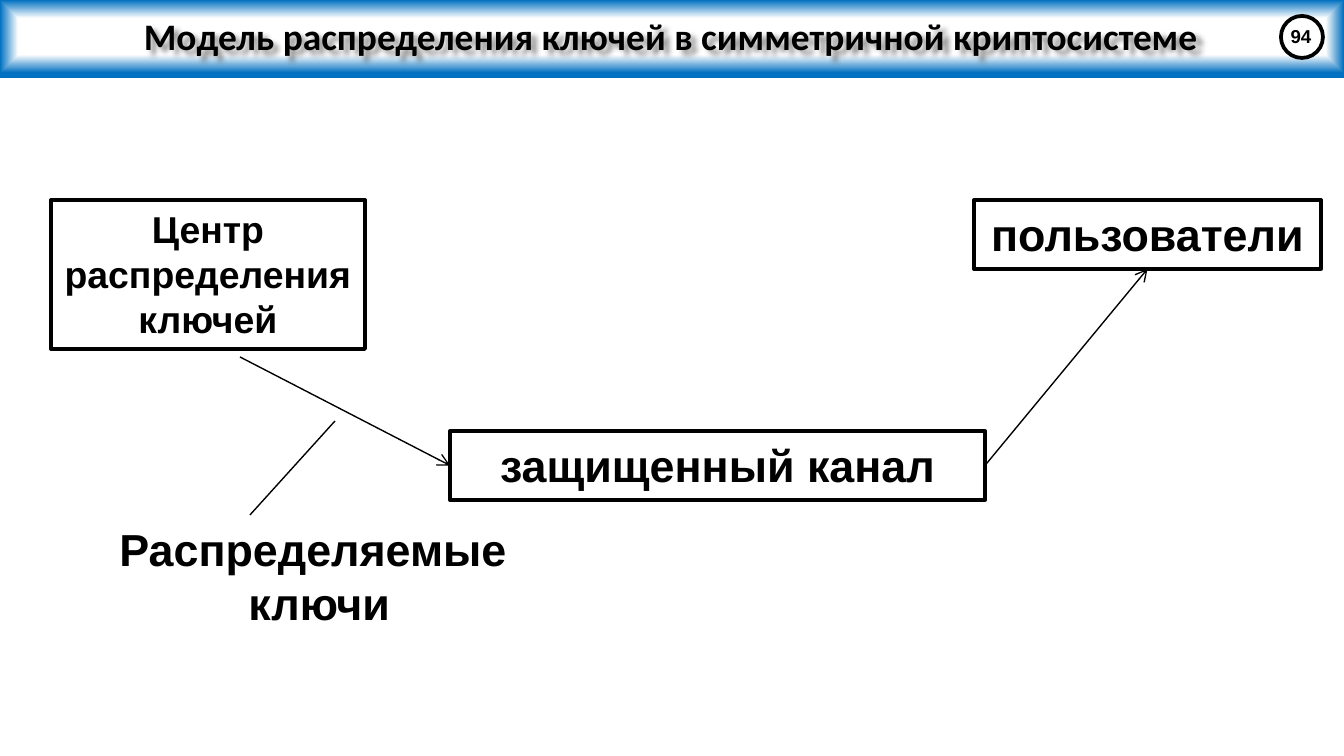
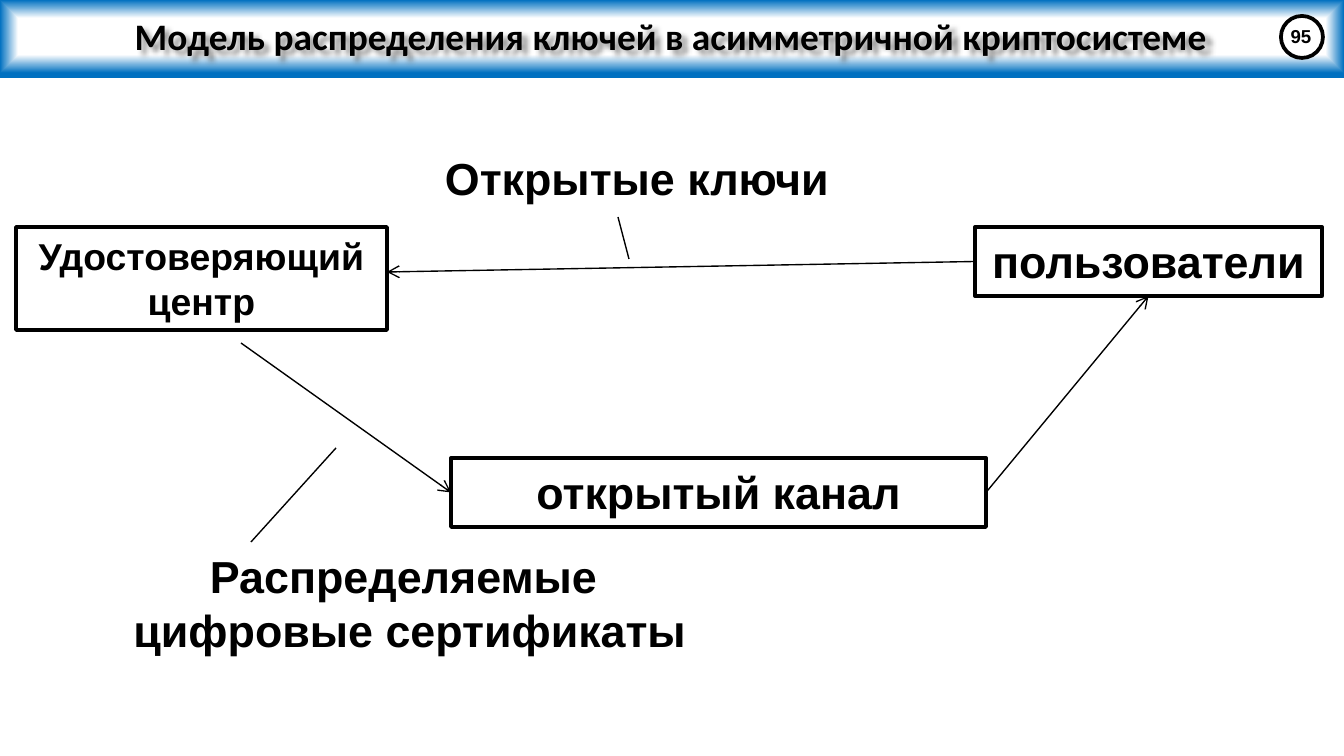
import lxml.etree
import pptx
import pptx.dml.color
import pptx.enum.shapes
import pptx.enum.text
import pptx.oxml
import pptx.oxml.ns
import pptx.util

BLACK = pptx.dml.color.RGBColor(0x00, 0x00, 0x00)
WHITE = pptx.dml.color.RGBColor(0xFF, 0xFF, 0xFF)
BLUE = pptx.dml.color.RGBColor(0x00, 0x70, 0xC0)

SHAPE = pptx.enum.shapes.MSO_SHAPE
ANCHOR = pptx.enum.text.MSO_ANCHOR
FIT = pptx.enum.text.MSO_AUTO_SIZE
TOP, LEFT, BOTTOM, RIGHT = range(4)  # connection sites of a rectangle

EMU_PER_PX = 914400 / 134.4
SLIDE_WIDTH, SLIDE_HEIGHT = 1344, 756
TITLE_ONLY = 5


def px(*lengths):
    return [round(length * EMU_PER_PX) for length in lengths]


def a_element(markup):
    return pptx.oxml.parse_xml(
        markup.replace("/>", f" {pptx.oxml.ns.nsdecls('a')}/>", 1)
        if markup.endswith("/>") and markup.count("<") == 1
        else markup.replace(">", f" {pptx.oxml.ns.nsdecls('a')}>", 1))


def write(frame, text, size=24, font="Arial", anchor=ANCHOR.TOP, wrap=True, fit=FIT.NONE):
    """Fill a text frame with bold, centred black lines."""
    frame.text = text
    frame.word_wrap = wrap
    frame.auto_size = fit
    frame.vertical_anchor = anchor
    frame.margin_left = frame.margin_right = pptx.util.Inches(0.1)
    frame.margin_top = frame.margin_bottom = pptx.util.Inches(0.05)
    for paragraph in frame.paragraphs:
        paragraph.alignment = pptx.enum.text.PP_ALIGN.CENTER
        for run in paragraph.runs:
            run.font.size = pptx.util.Pt(size)
            run.font.name = font
            run.font.bold = True
            run.font.color.rgb = BLACK


def outlined(slide, kind, box):
    shape = slide.shapes.add_shape(kind, *px(*box))
    shape.shadow.inherit = False
    shape.fill.solid()
    shape.fill.fore_color.rgb = WHITE
    shape.line.color.rgb = BLACK
    shape.line.width = pptx.util.Pt(2)
    return shape


def node(slide, box, text, size=24):
    rectangle = outlined(slide, SHAPE.RECTANGLE, box)
    write(rectangle.text_frame, text, size=size, fit=FIT.SHAPE_TO_FIT_TEXT)
    return rectangle


def label(slide, box, text):
    caption = slide.shapes.add_textbox(*px(*box))
    write(caption.text_frame, text, wrap=False, fit=FIT.SHAPE_TO_FIT_TEXT)


def link(slide, start, end, color=BLACK, width=0.75, arrow=False):
    """Draw a line; each end is a point or a (shape, site) pair."""
    line = slide.shapes.add_connector(pptx.enum.shapes.MSO_CONNECTOR.STRAIGHT, 0, 0, 0, 0)
    if isinstance(start[0], int):
        line.begin_x, line.begin_y = px(*start)
    else:
        line.begin_connect(*start)
    if isinstance(end[0], int):
        line.end_x, line.end_y = px(*end)
    else:
        line.end_connect(*end)
    line.line.color.rgb = color
    line.line.width = pptx.util.Pt(width)
    properties = line.element.spPr
    if arrow:
        outline = properties.find(pptx.oxml.ns.qn("a:ln"))
        outline.append(a_element('<a:tailEnd type="arrow"/>'))
    properties.append(a_element("<a:effectLst/>"))
    return line


def build_header(layout, slide):
    """Draw the title band and number ring, then move them to the layout."""
    for placeholder in list(layout.placeholders):
        if placeholder.placeholder_format.idx != 0:
            layout.shapes.element.remove(placeholder.element)

    rule = link(slide, (0, 74), (SLIDE_WIDTH, 74), color=BLUE, width=4.5)

    band = slide.shapes.add_shape(SHAPE.RECTANGLE, *px(0, 0, SLIDE_WIDTH, 73))
    band.shadow.inherit = False
    band.line.fill.background()
    band.fill.gradient()
    for stop, position, color in zip(band.fill.gradient_stops, (0.5, 1), (WHITE, BLUE)):
        stop.position = position
        stop.color.rgb = color
    linear = band.element.spPr.find(".//" + pptx.oxml.ns.qn("a:lin"))
    linear.getparent().replace(linear, a_element(
        '<a:path path="shape"><a:fillToRect l="50000" t="50000" r="50000" b="50000"/></a:path>'))

    ring = outlined(slide, SHAPE.OVAL, (1281, 16, 42, 42))
    for part in (rule, band, ring):
        layout.shapes.element.append(part.element)


def fill_header(slide, title, number):
    heading = slide.shapes.title
    heading.left, heading.top, heading.width, heading.height = px(0, -16, 1342, 103)
    write(heading.text_frame, title, size=20, font="Calibri", anchor=ANCHOR.MIDDLE)
    heading.element.spPr.append(a_element(
        '<a:effectLst><a:outerShdw blurRad="38100" dist="38100" dir="2700000" algn="tl">'
        '<a:srgbClr val="000000"><a:alpha val="43000"/></a:srgbClr>'
        '</a:outerShdw></a:effectLst>'))
    page = slide.shapes.add_textbox(*px(1275, 12, 52, 48))
    write(page.text_frame, number, size=10, anchor=ANCHOR.MIDDLE)


def key_flow(slide, left, top, source, source_box, exit_y, channel, keys, keys_width):
    """Draw source -> channel -> users; return the users box."""
    def at(x, y, *size):
        return (left + x, top + y, *size)

    node(slide, at(*source_box), source, size=20)
    users = node(slide, at(923, 0, 347, 69), "пользователи")
    medium = node(slide, at(399, 231, 535, 69), channel)
    link(slide, at(189, exit_y), (medium, LEFT), arrow=True)
    link(slide, (medium, RIGHT), (users, BOTTOM), arrow=True)

    # Distributed items, pointing at the first arrow
    label(slide, at(53, 315, keys_width, 122), keys)
    link(slide, at(199, 315), at(284, 221))
    return users


def public_keys(slide, left, top, users):
    """Draw the arrow from the users back to the centre, with its label."""
    link(slide, (users, LEFT), (left, top + 128), arrow=True)
    label(slide, (left + 43, top, 414, 69), "Открытые ключи")
    link(slide, (left + 231, top + 73), (left + 242, top + 115))


def main():
    deck = pptx.Presentation()
    deck.slide_width, deck.slide_height = px(SLIDE_WIDTH, SLIDE_HEIGHT)
    layout = deck.slide_layouts[TITLE_ONLY]

    # Symmetric cryptosystem
    symmetric = deck.slides.add_slide(layout)
    build_header(layout, symmetric)
    fill_header(symmetric, "Модель распределения ключей в симметричной криптосистеме", "94")
    key_flow(symmetric, 51, 200, "Центр распределения ключей", (0, 0, 314, 149), 157,
             "защищенный канал", "Распределяемые\n ключи", 418)

    # Asymmetric cryptosystem
    asymmetric = deck.slides.add_slide(layout)
    fill_header(asymmetric, "Модель распределения ключей в асимметричной криптосистеме", "95")
    users = key_flow(asymmetric, 52, 227, "Удостоверяющий центр", (-36, 0, 371, 103), 116,
                     "открытый канал", "Распределяемые\n цифровые сертификаты", 597)
    public_keys(asymmetric, 387, 144, users)

    deck.save("out.pptx")


if __name__ == "__main__":
    main()
